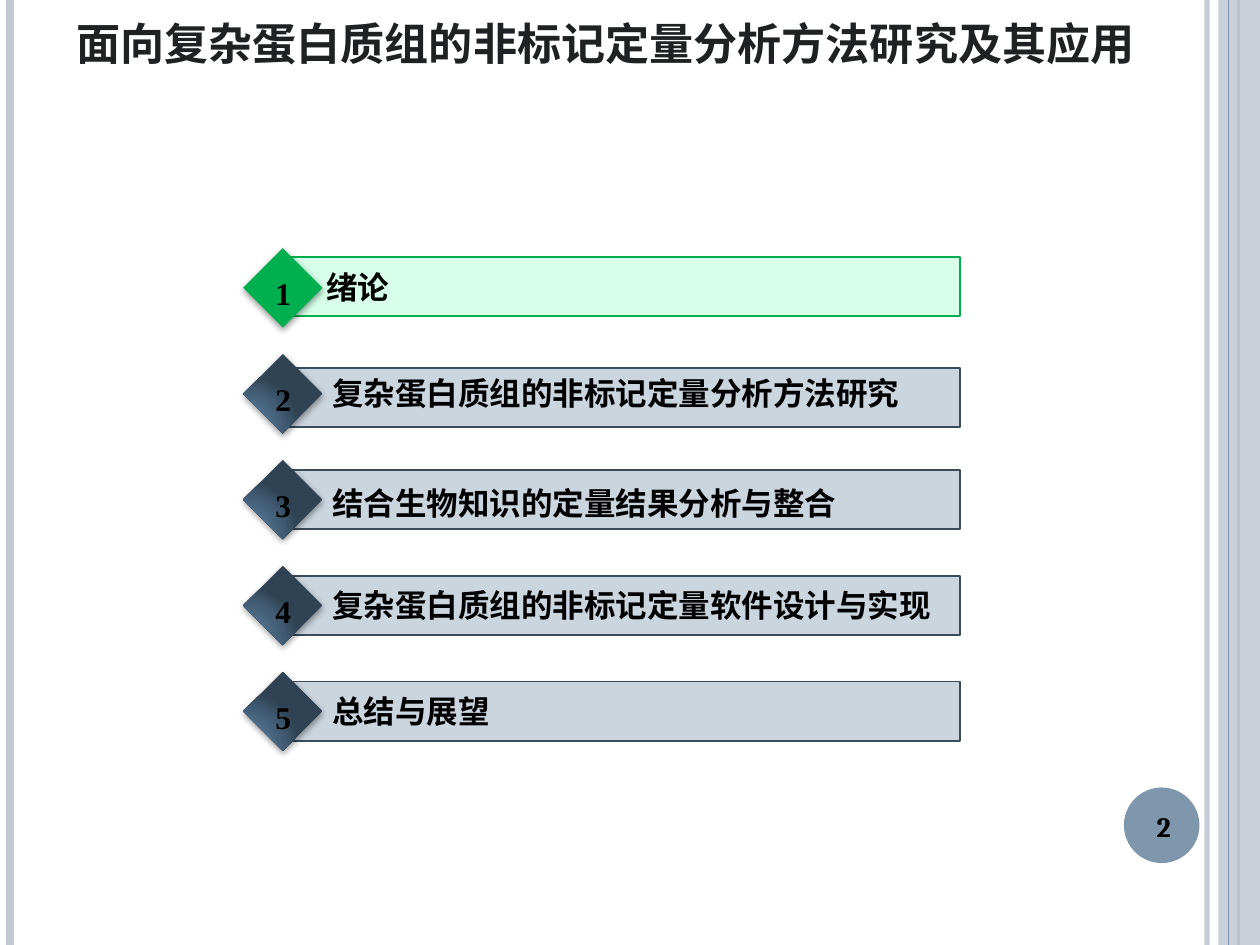
"""Build the agenda slide of a talk on label-free protein quantification."""
import pptx
import pptx.dml.color
import pptx.enum.shapes
import pptx.enum.text
import pptx.oxml
import pptx.oxml.ns
import pptx.util
from pptx.util import Inches

COLORS = {
    "rail": "C0C9D3", "accent": "7E97AD", "title": "1F2123", "text": "000000",
    "bar": "CBD5DE", "edge": "3A4C5B", "active": "00B050", "active_bar": "B9FFD9",
}
DIAMOND_STOPS = [(0, "5B7C9A"), (30, "577895"), (75, "405A71"), (100, "304354")]
SHAPES = pptx.enum.shapes.MSO_SHAPE
ANCHOR = pptx.enum.text.MSO_ANCHOR
ALIGN = pptx.enum.text.PP_ALIGN
TITLE = "面向复杂蛋白质组的非标记定量分析方法研究及其应用"
RAILS = [(9.58, "rail", 3, 93), (0.08, "rail", 4.5, 100), (9.83, "accent", 1.5, 100)]
ITEMS = [
    ("绪论", 2.28, 2.04, 2.49, 2.08, 0.71),
    ("复杂蛋白质组的非标记定量分析方法研究", 2.28, 2.92, 2.54, 2.92, 5.06),
    ("结合生物知识的定量结果分析与整合", 2.28, 3.73, 2.54, 3.79, 5.17),
    ("复杂蛋白质组的非标记定量软件设计与实现", 2.26, 4.57, 2.54, 4.6, 5.61),
    ("总结与展望", 2.26, 5.41, 2.54, 5.44, 5.06),
]
BAR_RIGHT = 7.62
DIAMOND_LEFT, DIAMOND_TOP, DIAMOND_SIZE, DIAMOND_PITCH = 1.93, 1.97, 0.63, 0.84


def rgb(name):
    return pptx.dml.color.RGBColor.from_string(COLORS[name])


def drawing_xml(tag, body, attributes=""):
    namespace = pptx.oxml.ns.nsdecls("a")
    return pptx.oxml.parse_xml(f"<a:{tag} {namespace} {attributes}>{body}</a:{tag}>")


def set_alpha(properties, percent):
    for color in properties.iter(pptx.oxml.ns.qn("a:srgbClr")):
        color.append(drawing_xml("alpha", "", f'val="{percent * 1000}"'))


def add_rail(page, x, color, width, alpha=100):
    rail = page.shapes.add_connector(
        pptx.enum.shapes.MSO_CONNECTOR.STRAIGHT, Inches(x), 0, Inches(x), Inches(7.5))
    rail.line.color.rgb = rgb(color)
    rail.line.width = pptx.util.Pt(width)
    properties = rail._element.spPr
    if alpha < 100:
        set_alpha(properties, alpha)
    properties.append(drawing_xml("effectLst", ""))


def add_block(page, kind, frame, fill, alpha=100, edge=None):
    block = page.shapes.add_shape(kind, *map(Inches, frame))
    block.shadow.inherit = False
    block.fill.solid()
    block.fill.fore_color.rgb = rgb(fill)
    if alpha < 100:
        set_alpha(block._element.spPr, alpha)
    if edge:
        block.line.color.rgb = rgb(edge)
        block.line.width = pptx.util.Pt(1)
    else:
        block.line.fill.background()
    return block


def write(shape, text, size=18, font="Times New Roman", color="text",
          align=ALIGN.LEFT, anchor=ANCHOR.TOP):
    shape.text_frame.vertical_anchor = anchor
    para = shape.text_frame.paragraphs[0]
    para.text = text
    para.alignment = align
    para.font.size = pptx.util.Pt(size)
    para.font.name = font
    para.font.bold = True
    para.font.color.rgb = rgb(color)


def add_text(page, frame, text, wrap=True, **style):
    box = page.shapes.add_textbox(*map(Inches, frame))
    box.text_frame.word_wrap = wrap
    write(box, text, **style)


def add_diamond(page, number):
    top = DIAMOND_TOP + DIAMOND_PITCH * (number - 1)
    diamond = add_block(page, SHAPES.DIAMOND,
                        (DIAMOND_LEFT, top, DIAMOND_SIZE, DIAMOND_SIZE), "active")
    properties = diamond._element.spPr
    if number > 1:
        stops = "".join(f'<a:gs pos="{position * 1000}"><a:srgbClr val="{color}"/></a:gs>'
                        for position, color in DIAMOND_STOPS)
        gradient = drawing_xml(
            "gradFill",
            f'<a:gsLst>{stops}</a:gsLst><a:path path="circle">'
            '<a:fillToRect l="5000" t="100000" r="120000" b="10000"/></a:path>')
        properties.replace(properties.find(pptx.oxml.ns.qn("a:solidFill")), gradient)
    properties.find(pptx.oxml.ns.qn("a:effectLst")).append(drawing_xml(
        "outerShdw", '<a:srgbClr val="000000"><a:alpha val="42000"/></a:srgbClr>',
        'blurRad="50800" dist="20320" dir="5400000" rotWithShape="0"'))
    write(diamond, str(number))


def add_item(page, number, text, bar_left, bar_top, text_left, text_top, text_width):
    active = number == 1
    add_block(page, SHAPES.RECTANGLE, (bar_left, bar_top, BAR_RIGHT - bar_left, 0.47),
              "active_bar" if active else "bar", 56 if active else 100,
              "active" if active else "edge")
    add_diamond(page, number)
    add_text(page, (text_left, text_top, text_width, 0.4), text, wrap=not active)


def main():
    deck = pptx.Presentation()
    deck.slide_width, deck.slide_height = Inches(10), Inches(7.5)
    page = deck.slides.add_slide(deck.slide_layouts[6])
    for rail in RAILS:
        add_rail(page, *rail)
    add_block(page, SHAPES.RECTANGLE, (9.67, 0, 0.33, 7.5), "rail", 87)
    add_rail(page, 9.75, "accent", 0.75)
    add_block(page, SHAPES.OVAL, (8.92, 6.25, 0.6, 0.6), "accent")
    add_text(page, (0.12, -0.11, 9.37, 0.71), TITLE, size=25.2, font="Arial",
             color="title", align=ALIGN.CENTER, anchor=ANCHOR.BOTTOM)
    add_text(page, (8.9, 6.27, 0.67, 0.57), "2", size=16, font="Cambria",
             align=ALIGN.CENTER, anchor=ANCHOR.MIDDLE)
    for number, item in enumerate(ITEMS, 1):
        add_item(page, number, *item)
    deck.save("out.pptx")


if __name__ == "__main__":
    main()
